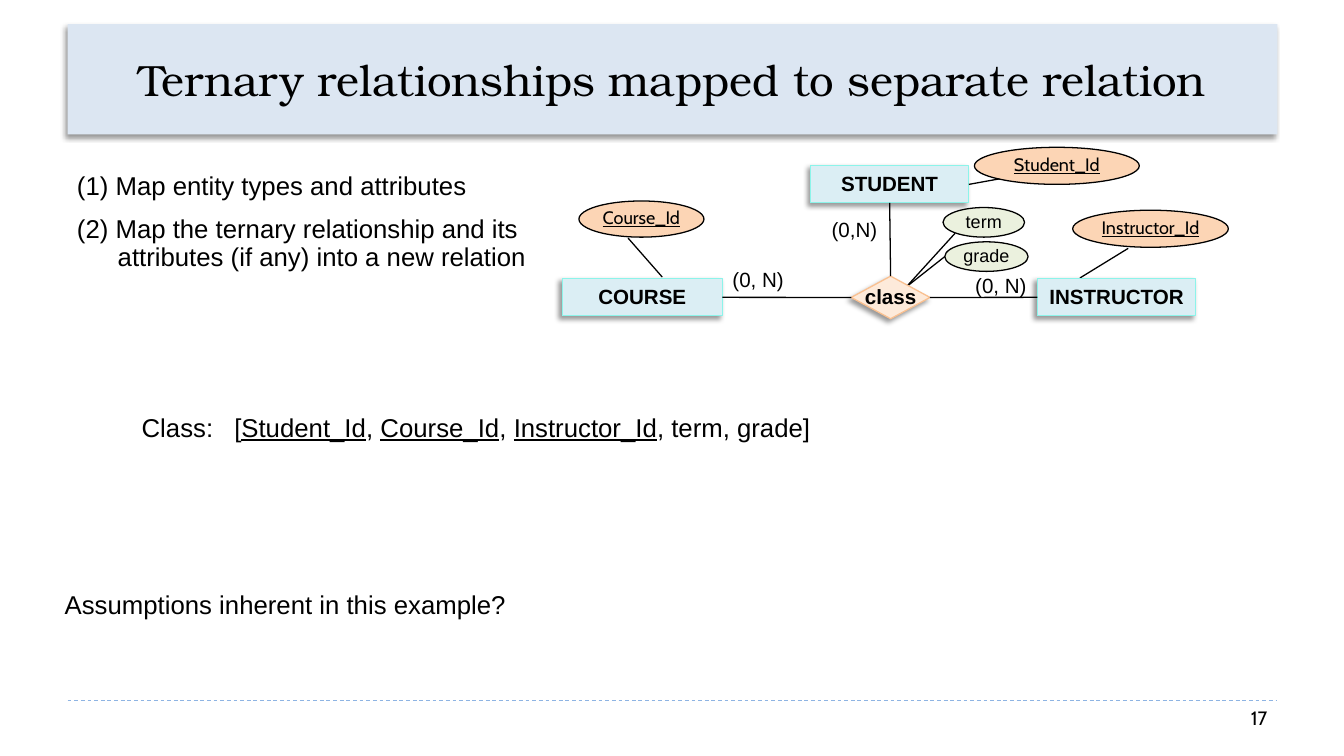
from lxml.etree import SubElement
from pptx import Presentation
from pptx.dml.color import RGBColor
from pptx.enum.dml import MSO_LINE
from pptx.enum.shapes import MSO_CONNECTOR, MSO_SHAPE
from pptx.enum.text import MSO_ANCHOR, MSO_AUTO_SIZE, PP_ALIGN
from pptx.oxml.ns import qn
from pptx.util import Pt

COLORS = {
    "text": "000000", "title": "DCE6F2", "rule": "8EB4E3",
    "entity": "DBEEF4", "entity_line": "8CF4EA",
    "relationship": "FDEADA", "relationship_line": "FAC090",
    "key": "FCD5B5", "attribute": "EBF1DE",
}
TITLE = "Ternary relationships mapped to separate relation"
STEPS = [
    "(1) Map entity types and attributes",
    "(2) Map the ternary relationship and its attributes (if any) into a new relation",
]
RELATION = [
    ("Class:\t[", False), ("Student_Id", True), (", ", False), ("Course_Id", True),
    (", ", False), ("Instructor_Id", True), (", term, grade]", False),
]
QUESTION = "Assumptions inherent in this example?"
STYLES = {
    "entity": (MSO_SHAPE.RECTANGLE, "entity_line", "Arial", 16, True, False),
    "relationship": (MSO_SHAPE.DIAMOND, "relationship_line", "Arial", 16, True, False),
    "key": (MSO_SHAPE.OVAL, "text", "Cabin", 14, False, True),
    "attribute": (MSO_SHAPE.OVAL, "text", "Arial", 14, False, False),
}
NODES = [
    ("COURSE", "entity", 437, 216.7, 124.6, 28.8),
    ("INSTRUCTOR", "entity", 806.4, 216.7, 123.1, 28.8),
    ("STUDENT", "entity", 630, 128.9, 123.1, 28.8),
    ("class", "relationship", 661.7, 214.6, 61.2, 33.1),
    ("term", "attribute", 733, 161.3, 63.4, 23),
    ("grade", "attribute", 734.4, 187.9, 64.8, 23),
    ("Course_Id", "key", 450, 156.2, 97.2, 28.1),
    ("Instructor_Id", "key", 833.8, 163.4, 121, 28.8),
    ("Student_Id", "key", 757.4, 114.5, 128.2, 28.8),
]
LINKS = [
    ("COURSE", 3, "class", 1),
    ("class", 3, "INSTRUCTOR", 1),
    ("STUDENT", 2, "class", 0),
]
ATTRIBUTE_LINES = [
    (704.9, 222.5, 742.3, 181.4),
    (704.2, 223.2, 734.4, 199.4),
    (514.8, 215.3, 488.2, 185),
    (839.5, 216, 877, 193),
]
CARDINALITIES = [
    ("(0, N)", 562.3, 205.9, 55.4),
    ("(0, N)", 751, 211, 55.4),
    ("(0,N)", 639.4, 167, 50.4),
]


def color(name):
    return RGBColor.from_string(COLORS[name])


def format_font(font, name, size, bold=False, underline=False):
    font.name, font.size = name, Pt(size)
    font.bold, font.underline = bold, underline
    font.color.rgb = color("text")


def add_shadow(shape):
    effects = SubElement(shape._element.spPr, qn("a:effectLst"))
    shadow = SubElement(effects, qn("a:outerShdw"), blurRad=str(Pt(4)), dist=str(Pt(3)),
                        dir=str(135 * 60000), algn="tr", rotWithShape="0")
    SubElement(SubElement(shadow, qn("a:srgbClr"), val=COLORS["text"]),
               qn("a:alpha"), val="40000")


def add_line(left, top, right, bottom, line_color="text", width=1):
    line = slide.shapes.add_connector(
        MSO_CONNECTOR.STRAIGHT, Pt(left), Pt(top), Pt(right), Pt(bottom))
    line.line.color.rgb = color(line_color)
    line.line.width = Pt(width)
    SubElement(line._element.spPr, qn("a:effectLst"))
    return line


def add_node(text, style, left, top, width, height):
    kind, line_color, font, size, bold, underline = STYLES[style]
    shape = slide.shapes.add_shape(kind, Pt(left), Pt(top), Pt(width), Pt(height))
    shape.fill.solid()
    shape.fill.fore_color.rgb = color(style)
    shape.line.color.rgb = color(line_color)
    shape.line.width = Pt(1)
    if style in ("entity", "relationship"):
        add_shadow(shape)
    else:
        shape.shadow.inherit = False
    frame = shape.text_frame
    frame.word_wrap = False
    frame.vertical_anchor = MSO_ANCHOR.MIDDLE
    frame.margin_left = frame.margin_right = frame.margin_top = frame.margin_bottom = 0
    frame.text = text
    paragraph = frame.paragraphs[0]
    paragraph.alignment = PP_ALIGN.CENTER
    paragraph.line_spacing = 0.9
    format_font(paragraph.runs[0].font, font, size, bold, underline)
    return shape


def add_text(runs, left, top, width, height, size=20, font="Arial", wrap=True):
    box = slide.shapes.add_textbox(Pt(left), Pt(top), Pt(width), Pt(height))
    box.text_frame.word_wrap = wrap
    paragraph = box.text_frame.paragraphs[0]
    paragraph.line_spacing = 0.9
    for text, underline in runs:
        run = paragraph.add_run()
        run.text = text
        format_font(run.font, font, size, underline=underline)
    return paragraph


def place(shape, left, top, width, height):
    shape.left, shape.top, shape.width, shape.height = map(Pt, (left, top, width, height))


presentation = Presentation()
presentation.slide_width, presentation.slide_height = Pt(1044.7), Pt(587.5)
slide = presentation.slides.add_slide(presentation.slide_layouts[1])

title = slide.shapes.title
place(title, 52.6, 18.7, 940.3, 85.7)
title.fill.solid()
title.fill.fore_color.rgb = color("title")
title.line.fill.background()
add_shadow(title)
title.text_frame.text = TITLE
title.text_frame.auto_size = MSO_AUTO_SIZE.NONE
title.text_frame.vertical_anchor = MSO_ANCHOR.MIDDLE
title.text_frame.paragraphs[0].alignment = PP_ALIGN.CENTER
format_font(title.text_frame.paragraphs[0].runs[0].font, "TeX Gyre Bonum", 34)

steps = slide.placeholders[1]
place(steps, 52.6, 131, 427, 84)
steps.text_frame.text = "\n".join(STEPS)
steps.text_frame.auto_size = MSO_AUTO_SIZE.NONE
steps.text_frame.vertical_anchor = MSO_ANCHOR.TOP
for index, paragraph in enumerate(steps.text_frame.paragraphs):
    properties = paragraph._p.get_or_add_pPr()
    properties.set("marL", str(Pt(31.7)))
    properties.set("indent", str(-Pt(31.7)))
    SubElement(properties, qn("a:buNone"))
    paragraph.line_spacing = 0.9
    paragraph.space_before = Pt(12 * index)
    format_font(paragraph.runs[0].font, "Arial", 20)

for line in ATTRIBUTE_LINES:
    add_line(*line)
nodes = {node[0]: add_node(*node) for node in NODES}
for start, start_side, end, end_side in LINKS:
    link = add_line(0, 0, 0, 0)
    link.begin_connect(nodes[start], start_side)
    link.end_connect(nodes[end], end_side)
student_line = add_line(753.1, 143.3, 776.9, 139)
student_line.begin_connect(nodes["STUDENT"], 3)
for text, left, top, width in CARDINALITIES:
    add_text([(text, False)], left, top, width, 24.5, size=16, wrap=False)

relation = add_text(RELATION, 103, 319, 574.6, 28.8)
tabs = SubElement(relation._p.get_or_add_pPr(), qn("a:tabLst"))
SubElement(tabs, qn("a:tab"), pos=str(Pt(72)), algn="l")
add_text([(QUESTION, False)], 43.2, 456.5, 436.3, 28.8)

add_line(52.6, 544.3, 992.2, 544.3, "rule", 0.75).line.dash_style = MSO_LINE.DASH
page_number = add_text([("17", False)], 870.5, 545, 121.7, 41, size=15, font="Cabin")
page_number.alignment = PP_ALIGN.RIGHT
page_number.line_spacing = 1.0

presentation.save("out.pptx")
